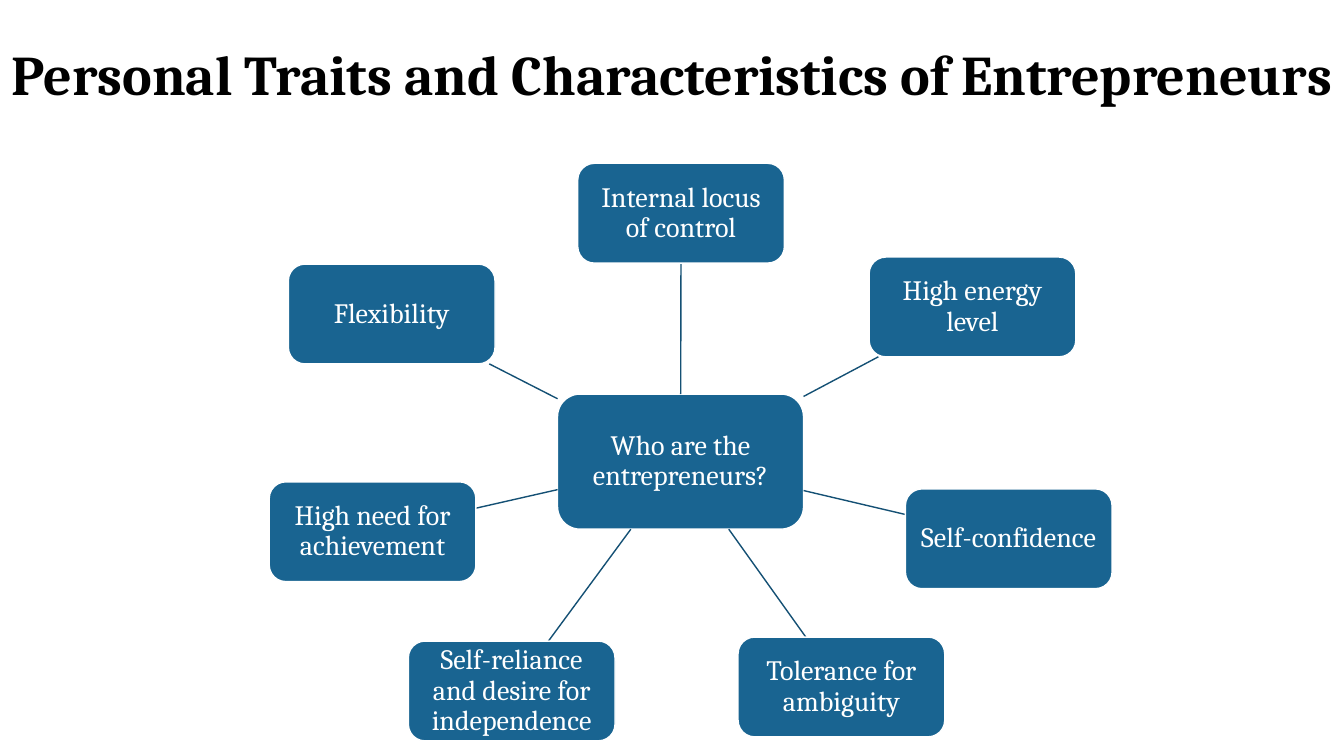
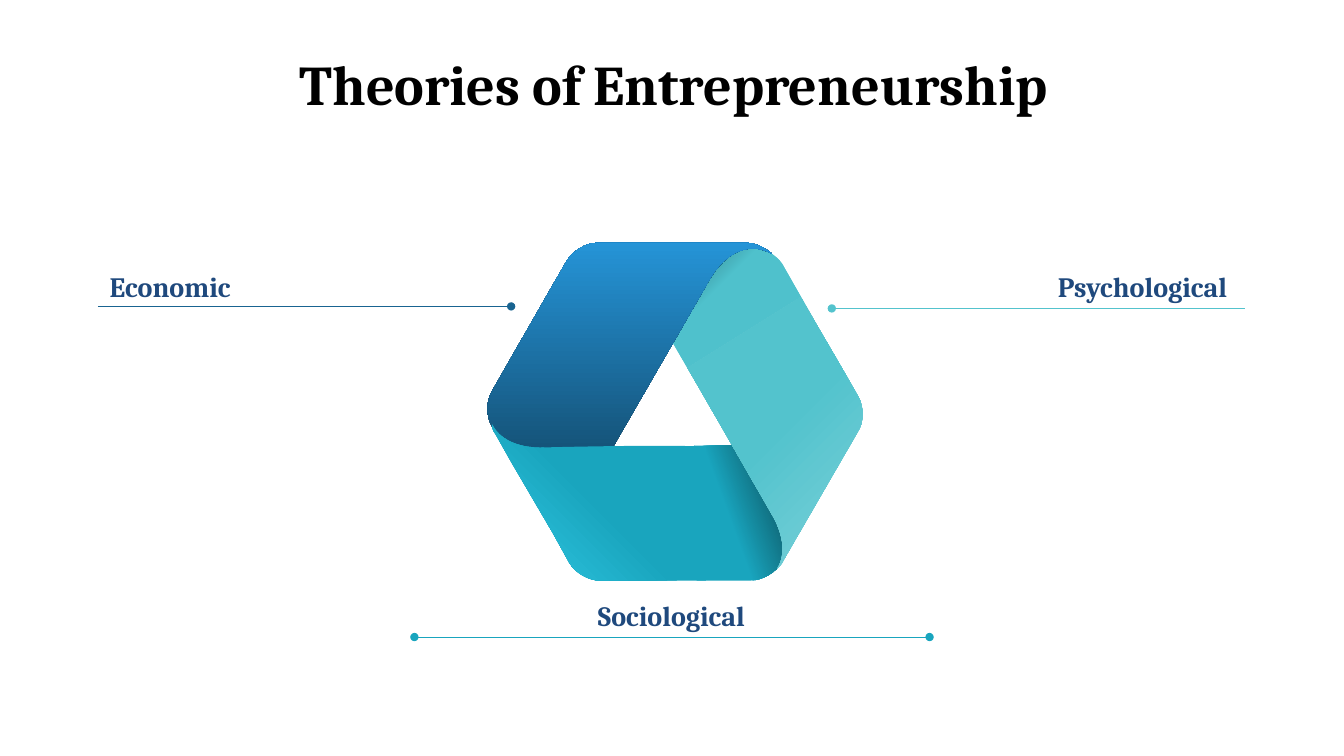
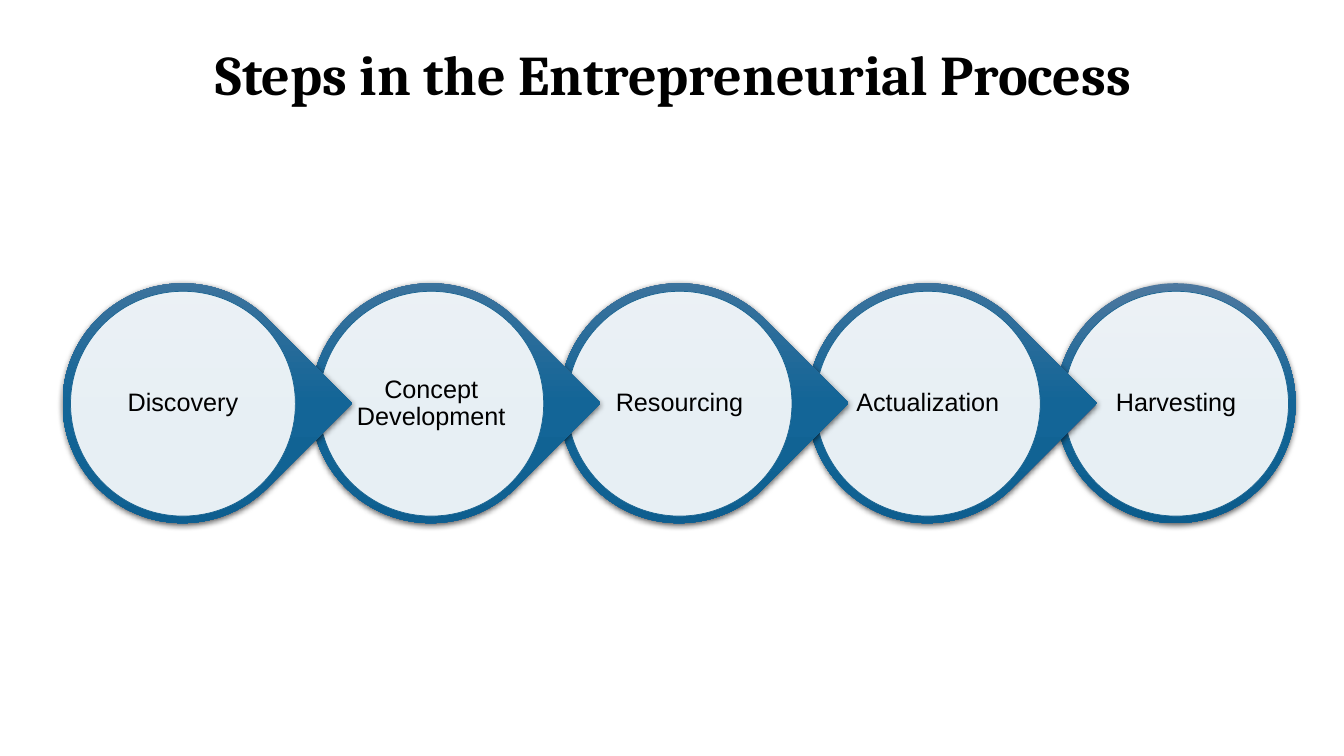
"""Build three slides on the traits, theories and steps of entrepreneurship."""
from lxml.etree import SubElement
from pptx import Presentation
from pptx.dml.color import RGBColor
from pptx.enum.shapes import MSO_CONNECTOR, MSO_SHAPE
from pptx.enum.text import MSO_ANCHOR, PP_ALIGN
from pptx.oxml.ns import qn
from pptx.util import Inches, Pt

SERIF, SANS = "Cambria", "Arial"
BLACK, WHITE, NAVY = "000000", "FFFFFF", "1F497D"
BLUE, DARK, TEAL, AQUA = "196491", "145074", "19A5BE", "53C3CD"
RING = [(0, "4D789F"), (50, "136597"), (100, "0C5C8C")]

HUB = (5.53, 3.91, 2.44, 1.34)
NODE = (2.05, 0.99)
TRAITS = [
    ("Internal locus of control", 5.73, 1.62),
    ("High energy level", 8.62, 2.55),
    ("Self-confidence", 8.98, 4.85),
    ("Tolerance for ambiguity", 7.32, 6.32),
    ("Self-reliance and desire for independence", 4.05, 6.36),
    ("High need for achievement", 2.67, 4.78),
    ("Flexibility", 2.86, 2.62),
]
FOLDS = [
    ([(5.97, 2.45), (7.46, 2.45), (7.57, 2.45, 7.7, 2.53, 7.76, 2.62),
      (8.3, 3.57), (7.19, 4.29), (6.33, 2.81),
      (6.18, 2.53, 5.95, 2.44, 5.74, 2.54),
      (5.81, 2.48, 5.9, 2.45, 5.97, 2.45)],
     [(0, AQUA), (59, "4FC1CC"), (88, "174A4E")], 225),
    ([(6.88, 4.42), (7.02, 4.43, 7.36, 4.4, 7.47, 4.44),
      (7.59, 4.47, 7.43, 4.6, 7.55, 4.63),
      (7.66, 4.66, 7.95, 4.63, 8.15, 4.63),
      (8.28, 4.63, 8.26, 4.63, 8.31, 4.62), (7.75, 5.59),
      (7.69, 5.68, 7.56, 5.76, 7.45, 5.76), (6.91, 5.76),
      (6.91, 5.32, 6.88, 4.87, 6.88, 4.42)],
     [(0, TEAL), (30, TEAL), (62, "0E5E6C")], 340),
    ([(4.88, 4.23), (5.62, 5.52, 5.62, 5.52, 5.62, 5.52),
      (5.63, 5.53, 5.64, 5.55, 5.66, 5.57),
      (5.59, 5.44, 5.6, 5.26, 5.72, 5.06),
      (7.04, 2.77, 7.04, 2.77, 7.04, 2.77),
      (7.21, 2.48, 7.45, 2.4, 7.66, 2.52),
      (7.59, 2.46, 7.49, 2.41, 7.41, 2.41),
      (5.92, 2.41, 5.92, 2.41, 5.92, 2.41),
      (5.81, 2.41, 5.68, 2.49, 5.62, 2.59),
      (4.88, 3.88, 4.88, 3.88, 4.88, 3.88),
      (4.82, 3.98, 4.82, 4.13, 4.88, 4.23)],
     [(0, "0C3046"), (100, "2594D7")], 270),
    ([(4.88, 4.21), (4.95, 4.35, 5.12, 4.44, 5.36, 4.44),
      (5.36, 4.44, 6.45, 4.41, 7, 4.43), (7, 5.76), (5.95, 5.76),
      (5.85, 5.76, 5.74, 5.7, 5.67, 5.62),
      (5.66, 5.61, 5.66, 5.59, 5.65, 5.59), (5.49, 5.3), (5.08, 4.6),
      (4.91, 4.3), (4.89, 4.28, 4.88, 4.24, 4.88, 4.21)],
     [(0, TEAL), (50, TEAL), (100, "31C9E4")], 135),
    ([(7.94, 2.95), (8.05, 3.14, 8.23, 3.44, 8.51, 3.93),
      (8.57, 4.03, 8.57, 4.19, 8.51, 4.28),
      (8.51, 4.28, 8.51, 4.28, 7.77, 5.56),
      (7.76, 5.59, 7.73, 5.62, 7.71, 5.64),
      (7.79, 5.51, 7.78, 5.32, 7.66, 5.11),
      (7.66, 5.11, 7.66, 5.11, 6.82, 3.65)],
     [(0, "7BD1D9"), (50, AQUA), (100, AQUA)], 225),
]
STEPS = ["Discovery", "Concept Development", "Resourcing",
         "Actualization", "Harvesting"]
FIRST, LAST = 0.62, 10.47


def tint(code):
    """Turn a hex string into a colour."""
    return RGBColor.from_string(code)


def write(shape, words, size=20, font=SERIF, color=BLACK, bold=False,
          align=PP_ALIGN.CENTER, anchor=MSO_ANCHOR.MIDDLE, inset=0.1, space=0.9):
    """Put formatted words into a shape."""
    frame = shape.text_frame
    frame.word_wrap = True
    frame.vertical_anchor = anchor
    frame.margin_left = frame.margin_right = Inches(inset)
    frame.margin_top = frame.margin_bottom = Inches(min(inset, 0.05))
    para = frame.paragraphs[0]
    para.alignment = align
    para.line_spacing = space
    run = para.add_run()
    run.text = words
    run.font.name = font
    run.font.size = Pt(size)
    run.font.bold = bold
    run.font.color.rgb = tint(color)


def label(slide, words, x, y, w, h, **style):
    """Add a text box."""
    write(slide.shapes.add_textbox(*map(Inches, (x, y, w, h))), words, **style)


def head(slide, words, x=0.35, y=0.41, w=12.66, h=0.71):
    """Add the slide title."""
    label(slide, words, x, y, w, h, size=40, bold=True, inset=0.02)


def blend(shape, stops, angle):
    """Fill a shape with a gradient that ignores its turn."""
    shape.fill.gradient()
    grad = shape._element.spPr.find(qn("a:gradFill"))
    grad.set("rotWithShape", "0")
    grad.find(qn("a:lin")).set("ang", str(angle * 60000))
    items = grad.find(qn("a:gsLst"))
    items.clear()
    for place, code in stops:
        stop = SubElement(items, qn("a:gs"), pos=str(place * 1000))
        SubElement(stop, qn("a:srgbClr"), val=code)


def form(slide, kind, x, y, w, h, fill=None, edge=None, width=1):
    """Add a preset shape with a plain fill and edge."""
    shape = slide.shapes.add_shape(kind, *map(Inches, (x, y, w, h)))
    shape.shadow.inherit = False
    if fill:
        shape.fill.solid()
        shape.fill.fore_color.rgb = tint(fill)
    if edge:
        shape.line.color.rgb = tint(edge)
        shape.line.width = Pt(width)
    else:
        shape.line.fill.background()
    return shape


def link(slide, start, end, color, width, head_dot=False, tail_dot=False):
    """Draw a line with optional round ends."""
    line = slide.shapes.add_connector(
        MSO_CONNECTOR.STRAIGHT, *map(Inches, (*start, *end)))
    line.line.color.rgb = tint(color)
    line.line.width = Pt(width)
    stroke = line.line._get_or_add_ln()
    for tag, shown in (("a:headEnd", head_dot), ("a:tailEnd", tail_dot)):
        if shown:
            SubElement(stroke, qn(tag), type="oval")
    SubElement(line._element.spPr, qn("a:effectLst"))


def box(slide, words, x, y, w, h):
    """Add a rounded box with words."""
    shape = form(slide, MSO_SHAPE.ROUNDED_RECTANGLE, x, y, w, h, BLUE, WHITE)
    write(shape, words, color=WHITE)


def mid(x, y, w, h):
    """Find the centre of a box."""
    return x + w / 2, y + h / 2


def rim(area, goal):
    """Find where the line between two centres leaves the first box."""
    (cx, cy), (tx, ty) = mid(*area), mid(*goal)
    dx, dy = tx - cx, ty - cy
    part = 1 / max(abs(dx) / (area[2] / 2), abs(dy) / (area[3] / 2))
    return cx + dx * part, cy + dy * part


def bend(shape, legs):
    """Merge each three lines of a curved leg into one cubic curve."""
    lines = iter(list(shape._element.iter(qn("a:lnTo"))))
    for leg in legs:
        first = next(lines)
        if len(leg) == 6:
            arc = first.makeelement(qn("a:cubicBezTo"))
            first.addprevious(arc)
            for line in (first, next(lines), next(lines)):
                arc.append(line[0])
                line.getparent().remove(line)


def fold(slide, route, stops, angle):
    """Draw one band of the folded ring."""
    dots = [(Inches(leg[i]), Inches(leg[i + 1]))
            for leg in route for i in range(0, len(leg), 2)]
    maker = slide.shapes.build_freeform(*dots[0], scale=1.0)
    maker.add_line_segments(dots[1:], close=True)
    shape = maker.convert_to_shape()
    bend(shape, route[1:])
    shape.shadow.inherit = False
    shape.line.fill.background()
    blend(shape, stops, angle)


def shade(shape):
    """Add a soft shadow below a shape."""
    effects = shape._element.spPr.find(qn("a:effectLst"))
    outer = SubElement(effects, qn("a:outerShdw"), blurRad=str(Pt(4.5)),
                       dist=str(Pt(1.5)), dir="5400000", rotWithShape="0")
    color = SubElement(outer, qn("a:srgbClr"), val=BLACK)
    SubElement(color, qn("a:alpha"), val="63000")


def disc(slide, words, x, last):
    """Add one step of the process."""
    kind = MSO_SHAPE.OVAL if last else MSO_SHAPE.TEAR
    ring = form(slide, kind, x, 2.81, 2.38, 2.38)
    ring.rotation = 0 if last else 45
    blend(ring, RING, 90)
    shade(ring)
    face = form(slide, MSO_SHAPE.OVAL, x + 0.08, 2.89, 2.23, 2.23,
                WHITE, BLUE, 0.5)
    color = face._element.spPr.find(qn("a:solidFill"))[0]
    SubElement(color, qn("a:alpha"), val="90000")
    write(face, words, size=18, font=SANS, inset=0.02)


def traits(slide):
    """Draw the hub with its traits."""
    head(slide, "Personal Traits and Characteristics of Entrepreneurs",
         0, 0.11, 13.33, 1.31)
    box(slide, "Who are the entrepreneurs?", *HUB)
    for words, x, y in TRAITS:
        node = (x, y, *NODE)
        link(slide, rim(HUB, node), rim(node, HUB), DARK, 1)
        box(slide, words, *node)


def views(slide):
    """Draw the folded ring with its three labels."""
    head(slide, "Theories of Entrepreneurship", y=0.51)
    for route, stops, angle in FOLDS:
        fold(slide, route, stops, angle)
    style = dict(color=NAVY, bold=True, anchor=MSO_ANCHOR.TOP, space=1.0)
    label(slide, "Psychological", 8.21, 2.62, 4.06, 0.44,
          align=PP_ALIGN.RIGHT, **style)
    link(slide, (8.25, 3.06), (12.35, 3.06), AQUA, 0.5, head_dot=True)
    label(slide, "Economic", 0.99, 2.62, 4.06, 0.44,
          align=PP_ALIGN.LEFT, **style)
    link(slide, (0.97, 3.04), (5.07, 3.04), BLUE, 0.5, tail_dot=True)
    label(slide, "Sociological", 4.11, 5.89, 5.1, 0.44, **style)
    link(slide, (4.11, 6.32), (9.22, 6.32), TEAL, 0.5, True, True)


def process(slide):
    """Draw the chain of steps from right to left."""
    final = len(STEPS) - 1
    pitch = (LAST - FIRST) / final
    for place in range(final, -1, -1):
        disc(slide, STEPS[place], FIRST + pitch * place, place == final)
    head(slide, "Steps in the Entrepreneurial Process")


def main():
    """Build and save the deck."""
    deck = Presentation()
    deck.slide_width, deck.slide_height = Inches(13.33), Inches(7.5)
    for draw in (traits, views, process):
        draw(deck.slides.add_slide(deck.slide_layouts[6]))
    deck.save("out.pptx")


if __name__ == "__main__":
    main()
